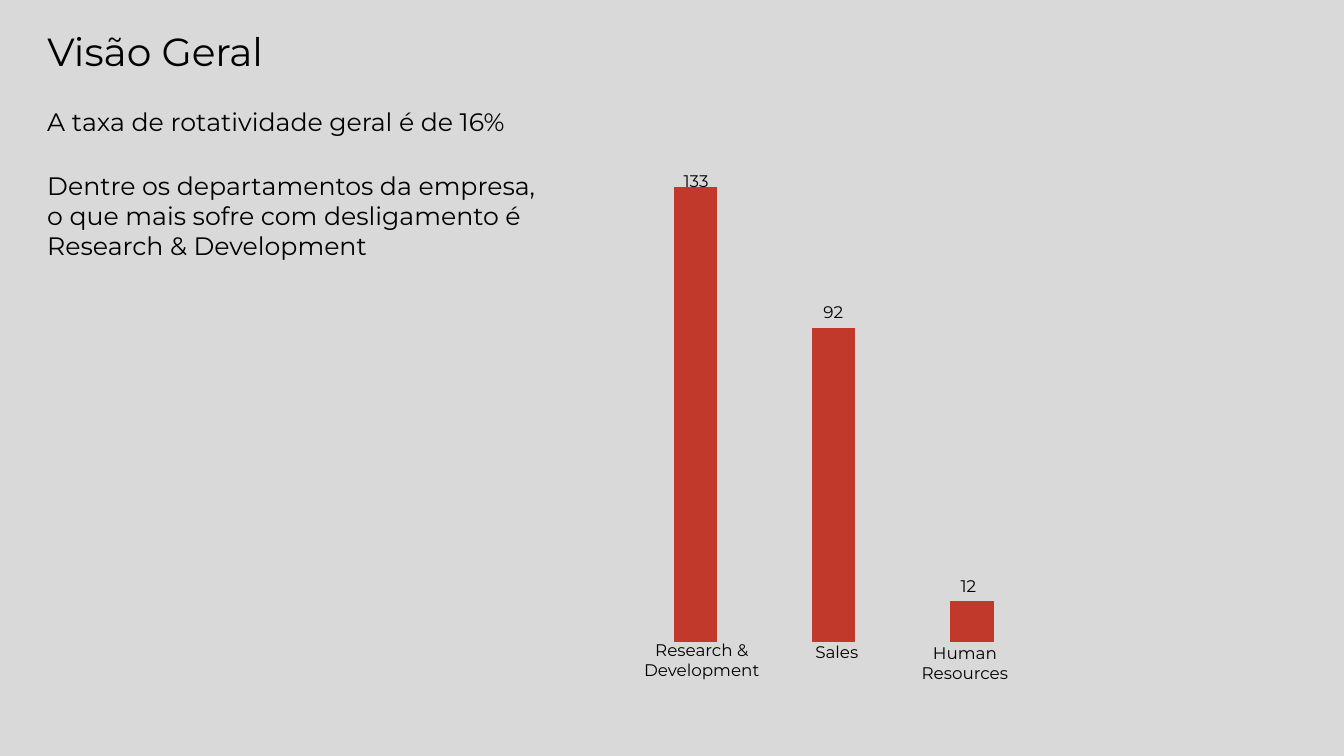
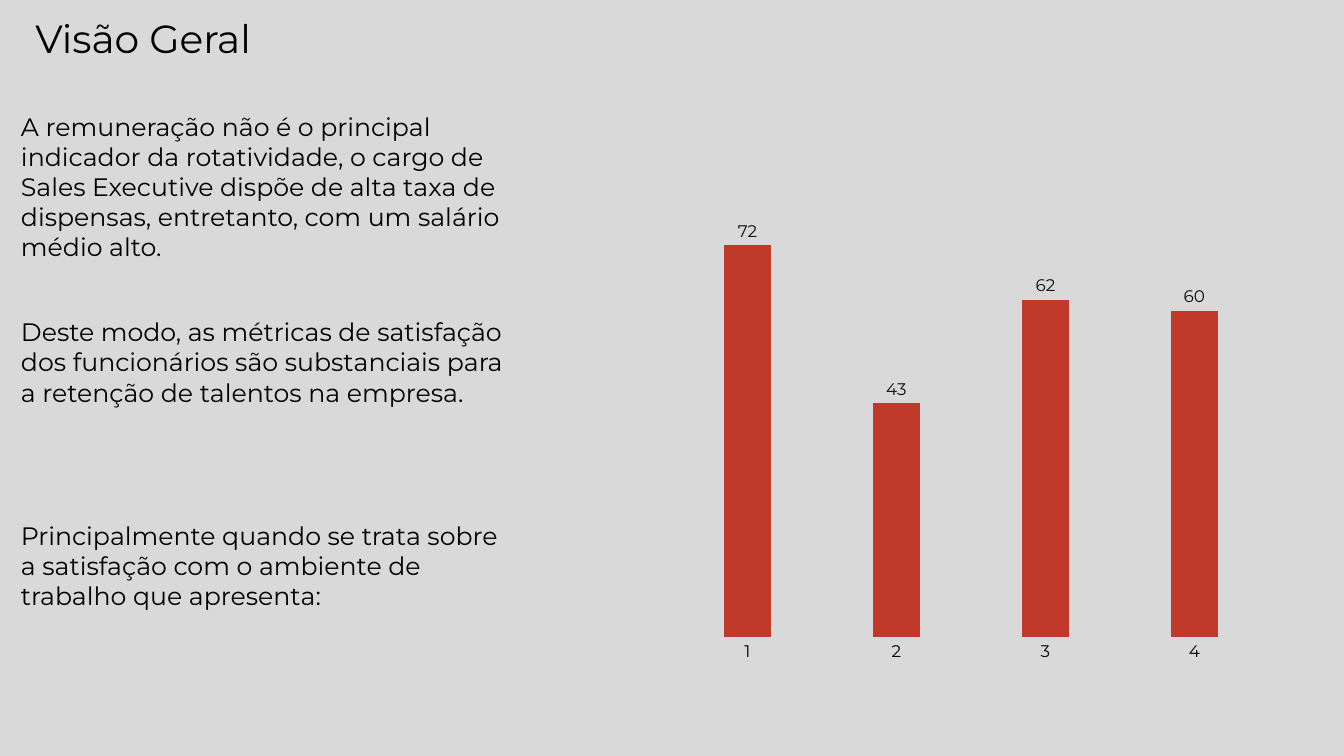
from lxml.etree import SubElement as Sub
from pptx import Presentation
from pptx.chart.data import CategoryChartData as Data
from pptx.dml.color import RGBColor
from pptx.enum.chart import XL_CHART_TYPE as Kind, XL_LABEL_POSITION as Spot
from pptx.enum.chart import XL_TICK_MARK as Tick
from pptx.enum.text import MSO_ANCHOR as Anchor, MSO_AUTO_SIZE as Fit, PP_ALIGN as Align
from pptx.oxml.ns import qn
from pptx.util import Inches, Pt

FONT, INK, BAR, BACK = "Montserrat", "000000", "C0392B", "D9D9D9"
TITLE = "Visão Geral"

SLIDES = [
    {
        "title": (0.37, 0.22, 2.95, 0.57),
        "body": [
            ("A taxa de rotatividade geral é de 16%", (0.37, 1.01, 5.08, 0.4)),
            ("Dentre os departamentos da empresa, o que mais sofre com "
             "desligamento é Research & Development", (0.37, 1.64, 5.08, 1.31)),
        ],
        "labels": [
            ("Research & Development", (6.27, 6.3, 1.38, 0.5)),
            ("Sales", (7.97, 6.32, 0.66, 0.3)),
            ("Human Resources", (8.88, 6.33, 1.38, 0.5)),
            ("133", (6.59, 1.64, 0.63, 0.3)),
            ("92", (7.95, 2.94, 0.63, 0.3)),
            ("12", (9.42, 5.66, 0.37, 0.3)),
        ],
        "chart": {
            "box": (6.1, 1.53, 5.71, 4.94),
            "plot": (0.02, 0.02, 0.96, 0.96),
            "cats": ("1", "2", "3", ""),
            "vals": (100, 69, 9, None),
            "top": 105,
            "marked": False,
        },
    },
    {
        "title": (0.25, 0.09, 2.95, 0.57),
        "body": [
            ("A remuneração não é o principal indicador da rotatividade, o cargo "
             "de Sales Executive dispõe de alta taxa de dispensas, entretanto, "
             "com um salário médio alto.", (0.11, 1.05, 5.08, 1.62)),
            ("Deste modo, as métricas de satisfação dos funcionários são "
             "substanciais para a retenção de talentos na empresa.",
             (0.11, 3.09, 5.08, 1.31)),
            ("Principalmente quando se trata sobre a satisfação com o ambiente "
             "de trabalho que apresenta:", (0.11, 5.11, 5.08, 1.01)),
        ],
        "labels": [],
        "chart": {
            "box": (6.67, 1.86, 5.92, 4.8),
            "plot": (0, 0.03, 1, 0.9),
            "cats": ("1", "2", "3", "4"),
            "vals": (72, 43, 62, 60),
            "top": 80,
            "marked": True,
        },
    },
]


def color(hexa):
    return RGBColor.from_string(hexa)


def style(font, size, tint=INK, face=FONT):
    font.size, font.name, font.bold = Pt(size), face, False
    font.color.rgb = color(tint)


def write(slide, text, box, size=18, align=Align.LEFT, shape=None):
    box = [Inches(n) for n in box]
    if shape is None:
        shape = slide.shapes.add_textbox(*box)
    else:
        shape.left, shape.top, shape.width, shape.height = box
    frame = shape.text_frame
    frame.text = text
    frame.word_wrap, frame.auto_size = True, Fit.NONE
    frame.vertical_anchor = Anchor.TOP
    line = frame.paragraphs[0]
    line.alignment = align
    style(line.runs[0].font, size)


def place(chart, plot):
    area = chart.plots[0]._element.getparent()
    for old in area.findall(qn("c:layout")):
        area.remove(old)
    layout = Sub(area, qn("c:layout"))
    area.insert(0, layout)
    manual = Sub(layout, qn("c:manualLayout"))
    tags = ("layoutTarget", "xMode", "yMode", "x", "y", "w", "h")
    for tag, val in zip(tags, ("inner", "edge", "edge", *plot)):
        Sub(manual, qn("c:" + tag)).set("val", str(val))


def draw(slide, box, plot, cats, vals, top, marked):
    data = Data()
    data.categories = cats
    data.add_series("Series 1", vals)
    frame = slide.shapes.add_chart(
        Kind.COLUMN_CLUSTERED, *[Inches(n) for n in box], data)
    chart = frame.chart
    chart.has_legend = chart.has_title = False
    style(chart.font, 10, face="Roboto")

    bars = chart.plots[0]
    bars.gap_width, bars.overlap, bars.vary_by_categories = 219, -27, False
    fill = bars.series[0].format.fill
    fill.solid()
    fill.fore_color.rgb = color(BAR)

    scale, axis = chart.value_axis, chart.category_axis
    scale.minimum_scale, scale.maximum_scale = 0, top
    scale.has_major_gridlines = scale.visible = False
    axis.visible = marked
    if marked:
        axis.major_tick_mark = axis.minor_tick_mark = Tick.NONE
        axis.format.line.color.rgb = color(BACK)
        axis.format.line.width = Pt(0.75)
        style(axis.tick_labels.font, 12)
        bars.has_data_labels = True
        marks = bars.data_labels
        marks.show_value, marks.position = True, Spot.OUTSIDE_END
        style(marks.font, 12, tint="0D0D0D")
    place(chart, plot)


def main():
    deck = Presentation()
    deck.slide_width, deck.slide_height = Inches(13.33), Inches(7.5)
    fill = deck.slide_master.background.fill
    fill.solid()
    fill.fore_color.rgb = color(BACK)
    for page in SLIDES:
        slide = deck.slides.add_slide(deck.slide_layouts[5])
        write(slide, TITLE, page["title"], size=28, shape=slide.shapes.title)
        for text, box in page["body"]:
            write(slide, text, box)
        draw(slide, **page["chart"])
        for text, box in page["labels"]:
            write(slide, text, box, size=12, align=Align.CENTER)
    deck.save("out.pptx")


if __name__ == "__main__":
    main()
